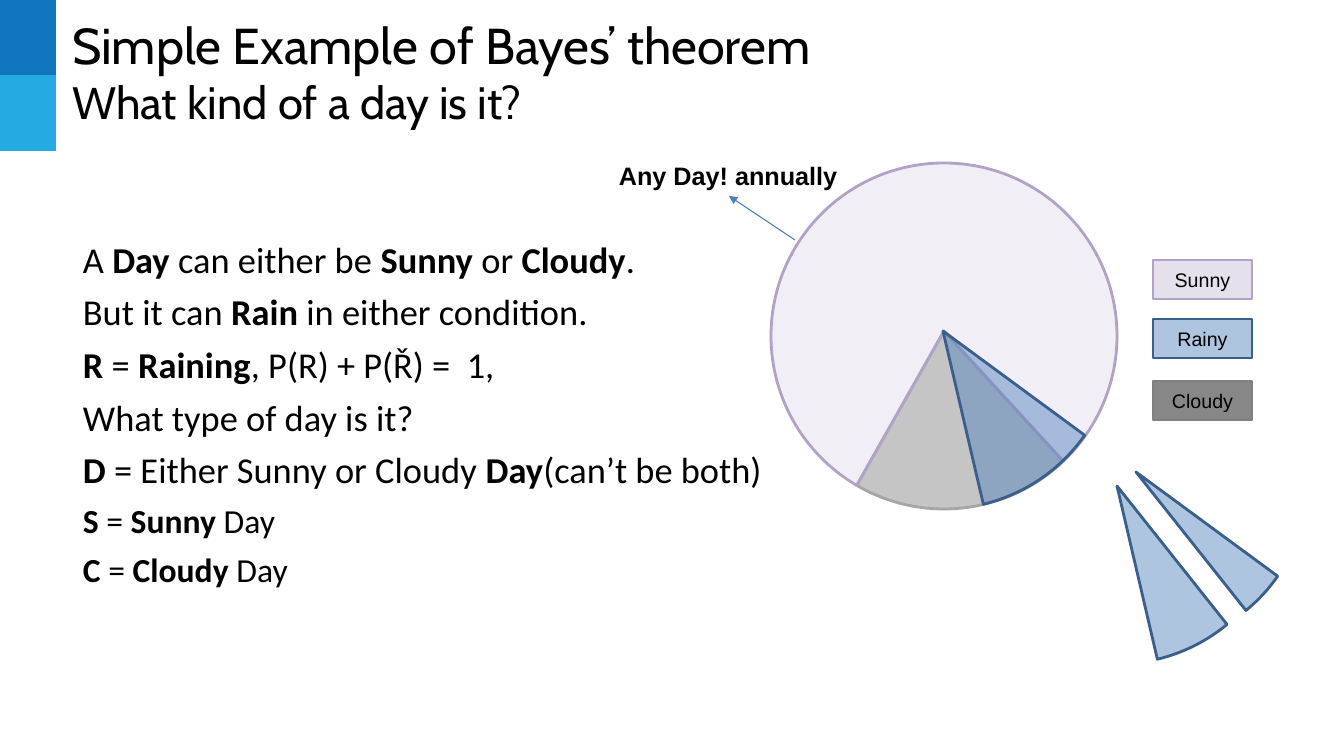
"""Builds the slide on Bayes' theorem with sunny, cloudy and rainy shares of a day."""
from math import cos, radians, sin, tan

from lxml.etree import SubElement
from pptx import Presentation
from pptx.dml.color import RGBColor
from pptx.enum.shapes import MSO_CONNECTOR as LINK, MSO_SHAPE as SHAPE
from pptx.enum.text import MSO_ANCHOR as ANCHOR, PP_ALIGN as ALIGN
from pptx.oxml.ns import qn
from pptx.util import Emu, Pt

PX = 914400 / 100.8
RADIUS = 173


def px(*lengths):
    return [Emu(round(n * PX)) for n in lengths]


def paint(shape, fill, alpha, line, width):
    shape.shadow.inherit = False
    shape.fill.solid()
    shape.fill.fore_color.rgb = RGBColor.from_string(fill)
    if alpha < 100:
        color = shape.fill._xPr.find(qn("a:solidFill"))[0]
        SubElement(color, qn("a:alpha"), val=str(alpha * 1000))
    if line:
        shape.line.color.rgb = RGBColor.from_string(line)
        shape.line.width = Pt(width)
    else:
        shape.line.fill.background()


deck = Presentation()
deck.slide_width, deck.slide_height = px(1344, 756)
slide = deck.slides.add_slide(deck.slide_layouts[5])
shapes = slide.shapes

for top, blue in [(0, "0F75BD"), (75, "25AAE2")]:
    paint(shapes.add_shape(SHAPE.RECTANGLE, *px(0, top, 56, 76)), blue, 100, None, 0)

title = shapes.title
title.left, title.top, title.width, title.height = px(62, 33, 1159, 77)
title.text_frame.vertical_anchor = ANCHOR.MIDDLE
heading = title.text_frame.paragraphs[0]
heading.alignment = ALIGN.LEFT
for words, size in [("Simple Example of Bayes’ theorem", 36), ("What kind of a day is it?", 32.4)]:
    if heading.runs:
        heading.add_line_break()
    run = heading.add_run()
    run.text = words
    for key, value in {"name": "Cabin", "size": Pt(size)}.items():
        setattr(run.font, key, value)
    run.font.color.rgb = RGBColor.from_string("000000")

statements = [
    (26, "A |Day| can either be |Sunny| or |Cloudy|."),
    (26, "But it can |Rain| in either condition."),
    (26, "|R| = |Raining|, P(R) + P(Ř) =  1,"),
    (26, "What type of day is it?"),
    (26, "|D| = Either Sunny or Cloudy |Day|(can’t be both)"),
    (24, "|S| =| Sunny |Day"),
    (24, "|C |= |Cloudy| Day"),
]
body = shapes.add_textbox(*px(59, 232, 1219, 469)).text_frame
body.word_wrap = True
for row, (size, statement) in enumerate(statements):
    para = body.paragraphs[0] if row == 0 else body.add_paragraph()
    para.space_before = Pt(6.4)
    para._p.get_or_add_pPr().set("marL", str(px(14)[0]))
    for part, words in enumerate(statement.split("|")):
        if words:
            run = para.add_run()
            run.text = words
            for key, value in {"name": "Calibri", "size": Pt(size), "bold": part % 2 == 1}.items():
                setattr(run.font, key, value)
            run.font.color.rgb = RGBColor.from_string("000000")

sunny_look = ("E6E0EC", 52, "B3A2C7", 2)
rainy_look = ("4F81BD", 46, "3A5F8C", 2)
slices = [
    (944, 331, [46.4, 90, 120.3], ("0D0D0D", 24, "A6A6A6", 2)),
    (944, 331, [120.3, 180, 270, 360, 406.4], sunny_look),
    (943, 331, [35, 76.5], rainy_look),
    (1136, 472, [35, 50.5], rainy_look),
    (1117, 486, [50.5, 76.5], rainy_look),
]
for x, y, stops, look in slices:
    rim = [(cos(radians(stops[0])), sin(radians(stops[0])))]
    for start, end in zip(map(radians, stops), map(radians, stops[1:])):
        pull = 4 / 3 * tan((end - start) / 4)
        rim += [
            (cos(start) - pull * sin(start), sin(start) + pull * cos(start)),
            (cos(end) + pull * sin(end), sin(end) - pull * cos(end)),
            (cos(end), sin(end)),
        ]
    outline = shapes.build_freeform(*px(x, y), scale=1.0)
    outline.add_line_segments([px(x + RADIUS * u, y + 5 + RADIUS * v) for u, v in rim], close=True)
    wedge = outline.convert_to_shape()
    corners = list(wedge._element.iter(qn("a:lnTo")))[1:]
    for first in range(0, len(rim) - 1, 3):
        curve = SubElement(corners[first].getparent(), qn("a:cubicBezTo"))
        corners[first].addprevious(curve)
        for corner in corners[first:first + 3]:
            curve.append(corner[0])
            corner.getparent().remove(corner)
    paint(wedge, *look)

legend = [
    ("Sunny", 260, ("E6E0EC", 100, "B3A2C7", 2)),
    ("Rainy", 319, rainy_look),
    ("Cloudy", 381, ("262626", 55, "808080", 1.75)),
]
for weather, top, look in legend:
    key_box = shapes.add_shape(SHAPE.RECTANGLE, *px(1153, top, 99, 39))
    paint(key_box, *look)
    key_box.text_frame.vertical_anchor = ANCHOR.MIDDLE
    label = key_box.text_frame.paragraphs[0]
    label.text = weather
    label.alignment = ALIGN.CENTER
    for key, value in {"name": "Arial", "size": Pt(14)}.items():
        setattr(label.font, key, value)
    label.font.color.rgb = RGBColor.from_string("000000")

any_day = shapes.add_textbox(*px(609, 155, 241, 40)).text_frame
any_day.word_wrap = False
caption = any_day.paragraphs[0]
caption.text = "Any Day! annually"
for key, value in {"name": "Arial", "size": Pt(18), "bold": True}.items():
    setattr(caption.font, key, value)
caption.font.color.rgb = RGBColor.from_string("000000")

pointer = shapes.add_connector(LINK.STRAIGHT, *px(795, 240, 729, 196))
pointer.line.color.rgb = RGBColor.from_string("4B7EBC")
pointer.line.width = Pt(0.75)
SubElement(pointer.line._get_or_add_ln(), qn("a:tailEnd"), type="triangle")
SubElement(pointer._element.spPr, qn("a:effectLst"))

deck.save("out.pptx")
